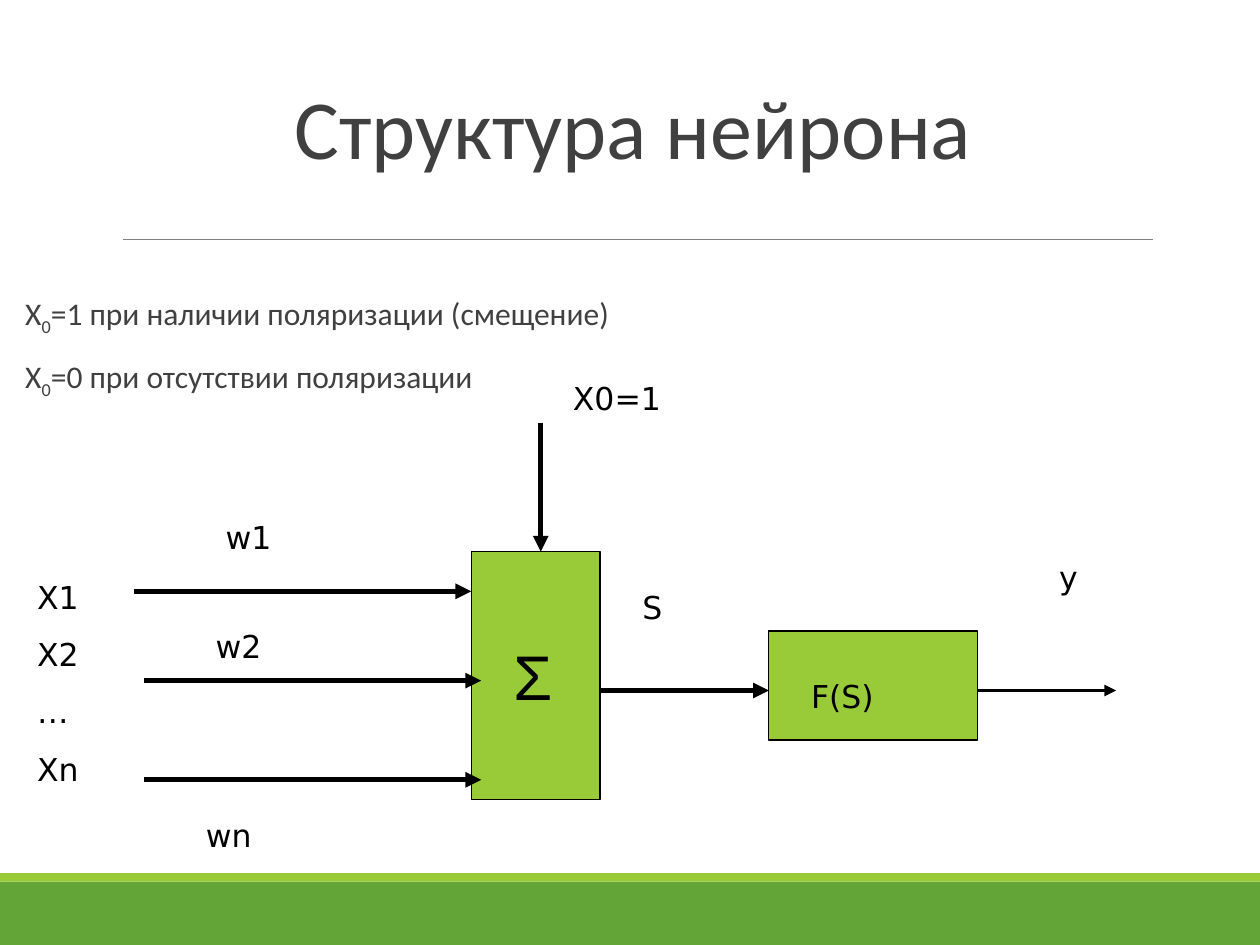
from dataclasses import dataclass

from lxml.etree import SubElement
from pptx import Presentation
from pptx.dml.color import RGBColor
from pptx.enum.shapes import MSO_CONNECTOR, MSO_SHAPE
from pptx.enum.text import MSO_ANCHOR, MSO_AUTO_SIZE, PP_ALIGN
from pptx.oxml.ns import qn
from pptx.util import Inches, Mm, Pt


@dataclass(frozen=True)
class Theme:
    ink: str = "000000"
    text: str = "404040"
    rule: str = "7F7F7F"
    lime: str = "99CB38"
    green: str = "63A537"
    head: str = "Calibri"
    label: str = "DejaVu Sans"
    sign: str = "Arial"
    title_size: int = 48
    size: int = 18
    sign_size: int = 36


T = Theme()

TITLE = "Структура нейрона"
# Each line: symbol, subscript, rest
NOTES = [
    ("Х", "0", "=1 при наличии поляризации (смещение)"),
    ("Х", "0", "=0 при отсутствии поляризации"),
]

# The diagram sits on a 2 mm grid: columns and rows
CELL = Mm(2)
SHIFT_X, SHIFT_Y = 0.5, 0.6
BLOCKS = [(47, 55, 13, 25), (77, 63, 21, 11)]  # sum, activation
ARROWS = [  # from column, row, to column, row, weight
    (13, 59, 47, 59, 3),
    (14, 68, 48, 68, 3),
    (14, 78, 48, 78, 3),
    (54, 42, 54, 55, 3),
    (60, 69, 77, 69, 3),
    (98, 69, 112, 69, 2.25),
]
LABELS = [  # lines, column, row, columns wide, rows high
    (["Х1", "Х2", "…", "Хn"], 2, 57, 10, 22.5),
    (["Х0=1"], 56, 37, 13, 5),
    (["F(S)"], 80, 67, 15, 5),
    (["w1"], 21, 51, 12, 5),
    (["w2"], 20, 62, 16, 5),
    (["wn"], 19, 81, 18, 5),
    (["S"], 63, 58, 8, 5),
    (["y"], 105, 55, 10, 5),
]
SIGN = (["Σ"], 50, 63, 8, 9)

# Shares of the slide's width and height
TITLE_BOX = (0.09, 0.041, 0.825, 0.153)
NOTES_BOX = (0.02, 0.305, 0.953, 0.582)
RULE = (0.098, 0.253, 0.915, 0.253)
BANDS = [((0, 0.933, 1, 0.067), T.green), ((0, 0.924, 1, 0.009), T.lime)]

deck = Presentation()
deck.slide_width, deck.slide_height = Inches(10), Inches(7.5)
slide = deck.slides.add_slide(deck.slide_layouts[1])
shapes = slide.shapes


def share(box):
    sides = (deck.slide_width, deck.slide_height) * 2
    return [round(part * side) for part, side in zip(box, sides)]


def point(col, row):
    return round((col + SHIFT_X) * CELL), round((row + SHIFT_Y) * CELL)


def grid(col, row, wide, high):
    return *point(col, row), round(wide * CELL), round(high * CELL)


def place(shape, box):
    shape.left, shape.top, shape.width, shape.height = box


def style(font, name, size, color):
    font.name, font.size = name, Pt(size)
    font.color.rgb = RGBColor.from_string(color)


def add_block(box, fill, edge=None):
    block = shapes.add_shape(MSO_SHAPE.RECTANGLE, *box)
    block.shadow.inherit = False
    block.fill.solid()
    block.fill.fore_color.rgb = RGBColor.from_string(fill)
    if edge:
        block.line.color.rgb = RGBColor.from_string(edge)
        block.line.width = Pt(0.75)
    else:
        block.line.fill.background()


def add_line(ends, color, weight, arrow=False):
    line = shapes.add_connector(MSO_CONNECTOR.STRAIGHT, *ends)
    line.line.color.rgb = RGBColor.from_string(color)
    line.line.width = Pt(weight)
    if arrow:
        SubElement(line.line._get_or_add_ln(), qn("a:tailEnd"), type="triangle")
    SubElement(line._element.spPr, qn("a:effectLst"))


def add_label(lines, *cells, name=T.label, size=T.size):
    frame = shapes.add_textbox(*grid(*cells)).text_frame
    frame.word_wrap = True
    frame.auto_size = MSO_AUTO_SIZE.SHAPE_TO_FIT_TEXT
    frame.text = "\n".join(lines)
    for i, para in enumerate(frame.paragraphs):
        if i:
            para.space_before = Pt(11.2)
        style(para.runs[0].font, name, size, T.ink)


def fill_title():
    title = shapes.title
    place(title, share(TITLE_BOX))
    frame = title.text_frame
    frame.text = TITLE
    frame.auto_size = MSO_AUTO_SIZE.NONE
    frame.vertical_anchor = MSO_ANCHOR.BOTTOM
    para = frame.paragraphs[0]
    para.alignment, para.line_spacing = PP_ALIGN.CENTER, 0.85
    style(para.runs[0].font, T.head, T.title_size, T.text)


def fill_notes():
    body = slide.placeholders[1]
    place(body, share(NOTES_BOX))
    frame = body.text_frame
    frame.auto_size = MSO_AUTO_SIZE.NONE
    frame.margin_left = frame.margin_right = 0
    for i, parts in enumerate(NOTES):
        para = frame.add_paragraph() if i else frame.paragraphs[0]
        props = para._p.get_or_add_pPr()
        props.set("marL", str(Inches(0.1)))
        props.set("indent", str(-Inches(0.1)))
        SubElement(props, qn("a:buNone"))
        para.line_spacing = 0.9
        para.space_before, para.space_after = Pt(12 if i else 0), Pt(2)
        for j, part in enumerate(parts):
            run = para.add_run()
            run.text = part
            style(run.font, T.head, T.size, T.text)
            if j == 1:
                run.font._element.set("baseline", "-25000")


for box, color in BANDS:
    add_block(share(box), color)
add_line(share(RULE), T.rule, 0.5)
fill_title()
fill_notes()
for block in BLOCKS:
    add_block(grid(*block), T.lime, T.ink)
for *ends, weight in ARROWS:
    add_line(point(*ends[:2]) + point(*ends[2:]), T.ink, weight, arrow=True)
for label in LABELS:
    add_label(*label)
add_label(*SIGN, name=T.sign, size=T.sign_size)

deck.save("out.pptx")
